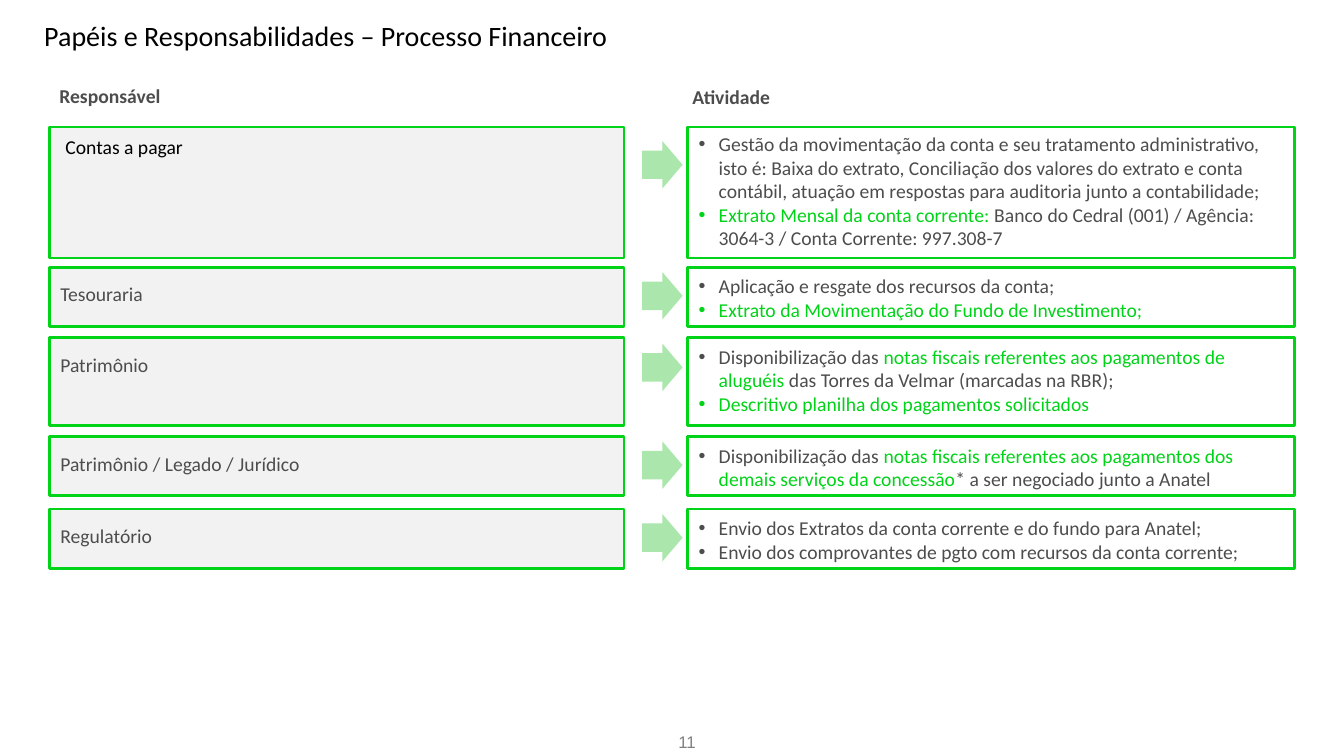
from lxml import etree
from pptx import Presentation, util as u
from pptx.dml.color import RGBColor
from pptx.enum import shapes, text
from pptx.oxml.ns import qn

THEME = {
    "black": "000000", "gray": "4D4D4D", "green": "00D318", "arrow": "ABE6AC",
    "panel": "F2F2F2", "page": "808080",
    "font": "Calibri", "page_font": "Arial",
    "title_size": 20, "body_size": 14, "page_size": 12,
}

TITLE = "Papéis e Responsabilidades – Processo Financeiro"
PAGE = "11"
HEADERS = [("Responsável", 0.49, 0.78), ("Atividade", 6.77, 0.79)]

ROWS = [
    {"top": 1.26, "height": 1.3, "arrow": 1.4, "body": 1.26,
     "label": ("Contas a pagar", 0.55, 1.29, "black"),
     "items": [
         [("Gestão da movimentação da conta e seu tratamento administrativo, isto é: "
           "Baixa do extrato, Conciliação dos valores do extrato e conta contábil, "
           "atuação em respostas para auditoria junto a contabilidade;", "gray")],
         [("Extrato Mensal da conta corrente: ", "green"),
          ("Banco do Cedral (001) / Agência: 3064-3 / Conta Corrente: 997.308-7", "gray")]]},
    {"top": 2.65, "height": 0.59, "arrow": 2.7, "body": 2.67,
     "label": ("Tesouraria", 0.5, 2.75, "gray"),
     "items": [
         [("Aplicação e resgate dos recursos da conta;", "gray")],
         [("Extrato da Movimentação do Fundo de Investimento;", "green")]]},
    {"top": 3.35, "height": 0.87, "arrow": 3.41, "body": 3.37,
     "label": ("Patrimônio", 0.5, 3.45, "gray"),
     "items": [
         [("Disponibilização das ", "gray"),
          ("notas fiscais referentes aos pagamentos de aluguéis ", "green"),
          ("das Torres da Velmar (marcadas na RBR);", "gray")],
         [("Descritivo planilha dos pagamentos solicitados", "green")]]},
    {"top": 4.33, "height": 0.59, "arrow": 4.38, "body": 4.35,
     "label": ("Patrimônio / Legado / Jurídico", 0.5, 4.43, "gray"),
     "items": [
         [("Disponibilização das ", "gray"),
          ("notas fiscais referentes aos pagamentos dos demais serviços da concessão", "green"),
          ("* a ser negociado junto a Anatel", "gray")]]},
    {"top": 5.05, "height": 0.59, "arrow": 5.1, "body": 5.07,
     "label": ("Regulatório", 0.5, 5.15, "gray"),
     "items": [
         [("Envio dos Extratos da conta corrente e do fundo para Anatel;", "gray")],
         [("Envio dos comprovantes de pgto com recursos da conta corrente;", "gray")]]},
]


def rgb(name):
    return RGBColor.from_string(THEME[name])


def add_bullet(p):
    pPr = p._p.get_or_add_pPr()
    pPr.set("marL", str(u.Inches(0.2)))
    pPr.set("indent", str(-u.Inches(0.2)))
    etree.SubElement(pPr, qn("a:buFont")).set("typeface", "Arial")
    etree.SubElement(pPr, qn("a:buChar")).set("char", "•")


def add_text(s, paragraphs, box, size="body_size", font="font", bold=False, bullet=False,
             align=text.PP_ALIGN.LEFT, anchor=text.MSO_ANCHOR.TOP, wrap=True, inset=None):
    tf = s.shapes.add_textbox(*map(u.Inches, box)).text_frame
    tf.word_wrap, tf.vertical_anchor = wrap, anchor
    if inset is not None:
        tf.margin_left = tf.margin_right = u.Inches(inset)
    for i, runs in enumerate(paragraphs):
        p = tf.add_paragraph() if i else tf.paragraphs[0]
        p.alignment = align
        if bullet:
            add_bullet(p)
        for words, color in runs:
            r = p.add_run()
            r.text = words
            r.font.name, r.font.size = THEME[font], u.Pt(THEME[size])
            r.font.bold, r.font.color.rgb = bold, rgb(color)


def add_block(s, kind, box, fill=None, line=None):
    sp = s.shapes.add_shape(kind, *map(u.Inches, box))
    sp.shadow.inherit = False
    if fill:
        sp.fill.solid()
        sp.fill.fore_color.rgb = rgb(fill)
    else:
        sp.fill.background()
    if line:
        sp.line.color.rgb, sp.line.width = rgb(line), u.Pt(2)
    else:
        sp.line.fill.background()
    return sp


def add_row(s, row):
    rect, top, height = shapes.MSO_SHAPE.RECTANGLE, row["top"], row["height"]
    add_block(s, rect, (0.49, top, 5.7, height), fill="panel", line="green")
    add_block(s, rect, (6.82, top, 6.02, height), line="green")
    arrow = add_block(s, shapes.MSO_SHAPE.RIGHT_ARROW, (6.37, row["arrow"], 0.4, 0.47), fill="arrow")
    arrow.adjustments[0], arrow.adjustments[1] = 0.6, 0.5
    label, x, y, color = row["label"]
    add_text(s, [[(label, color)]], (x, y, 5.96, 0.34))
    add_text(s, row["items"], (6.83, row["body"], 5.95, height), bullet=True)


def main():
    prs = Presentation()
    prs.slide_width, prs.slide_height = u.Inches(13.33), u.Inches(7.5)
    s = prs.slides.add_slide(prs.slide_layouts[6])
    add_text(s, [[(TITLE, "black")]], (0.34, 0.13, 11.76, 0.61), size="title_size")
    for header, x, y in HEADERS:
        add_text(s, [[(header, "gray")]], (x, y, 5.96, 0.34), bold=True)
    for row in ROWS:
        add_row(s, row)
    add_text(s, [[(PAGE, "page")]], (6.6, 7.21, 0.35, 0.3), size="page_size", font="page_font",
             align=text.PP_ALIGN.RIGHT, anchor=text.MSO_ANCHOR.MIDDLE, wrap=False, inset=0.05)
    prs.save("out.pptx")


if __name__ == "__main__":
    main()
